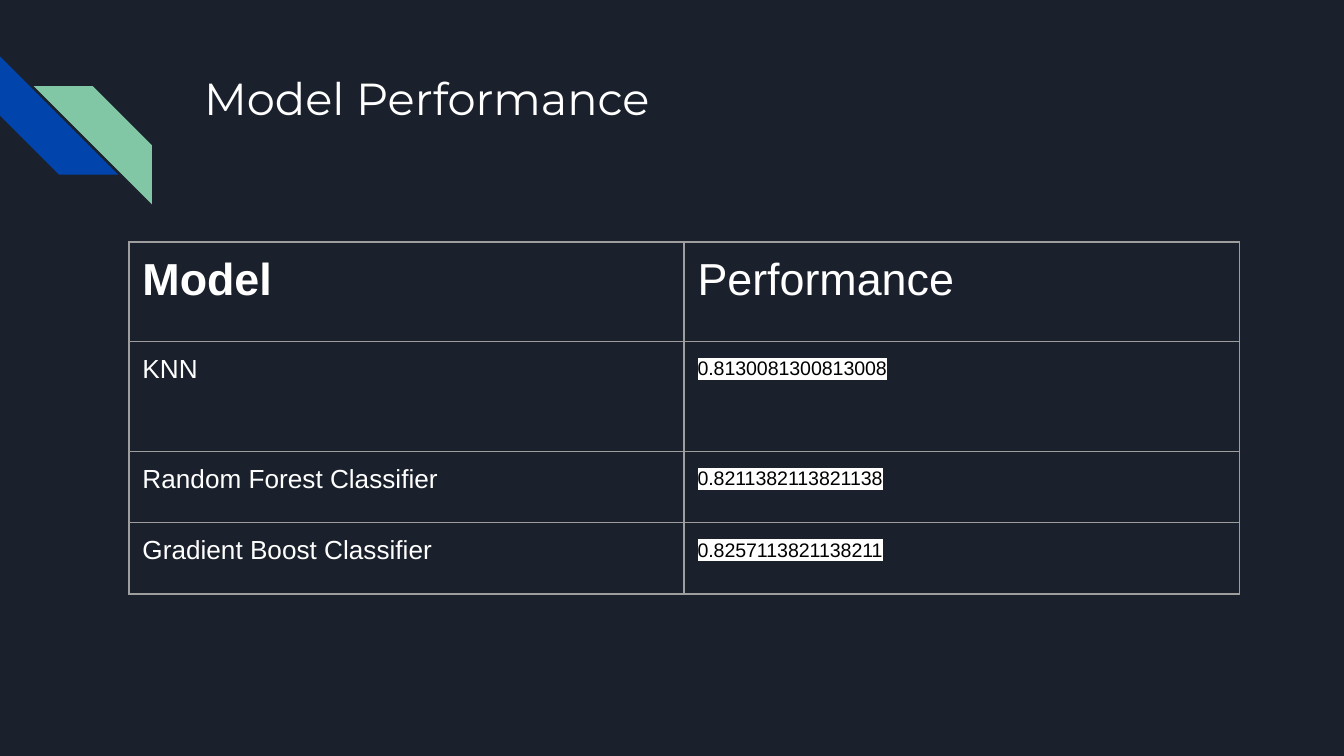
from lxml.etree import SubElement
from pptx import Presentation
from pptx.dml.color import RGBColor
from pptx.enum.shapes import MSO_SHAPE
from pptx.oxml.ns import qn
from pptx.util import Inches, Pt


def paint(fill, color):
    fill.solid()
    fill.fore_color.rgb = RGBColor.from_string(color)


def style(para, name, size, color, bold=False):
    font = para.font
    font.name, font.size, font.bold = name, Pt(size), bold
    paint(font.fill, color)


# Widescreen 16:9 slide
prs = Presentation()
prs.slide_width = Inches(10)
prs.slide_height = prs.slide_width * 9 // 16
slide = prs.slides.add_slide(prs.slide_layouts[6])
paint(slide.background.fill, "1B212C")

# Corner stripes
side = Inches(0.88)
stripes = []
for left, top, color in [(0, 0.42, "0145AC"), (0.25, 0.64, "82C7A5")]:
    stripe = slide.shapes.add_shape(
        MSO_SHAPE.DIAGONAL_STRIPE, Inches(left), Inches(top), side, side)
    stripe.shadow.inherit = False
    stripe.line.fill.background()
    paint(stripe.fill, color)
    stripes.append(stripe)
blue, green = stripes
blue.rotation = 270
green._element.spPr.xfrm.set("flipH", "1")

# Title
title = slide.shapes.add_textbox(Inches(1.42), Inches(0.43), Inches(7.7), Inches(1))
frame = title.text_frame
frame.word_wrap = True
frame.margin_left = frame.margin_right = Inches(0.1)
frame.margin_top = frame.margin_bottom = Inches(0.1)
frame.text = "Model Performance"
style(frame.paragraphs[0], "Montserrat", 24, "FFFFFF")

# Table grid
rows = [
    ("Model", "Performance"),
    ("KNN", "0.8130081300813008"),
    ("Random Forest Classifier", "0.8211382113821138"),
    ("Gradient Boost Classifier", "0.8257113821138211"),
]
heights = [0.74, 0.82, 0.53, 0.53]
table = slide.shapes.add_table(
    len(rows), 2, Inches(0.96), Inches(1.8), Inches(8.26), Inches(sum(heights))).table
table.first_row = table.horz_banding = False
for col in table.columns:
    col.width = Inches(4.13)
for row, height in zip(table.rows, heights):
    row.height = Inches(height)

# Table cells
for r, row in enumerate(rows):
    for c, text in enumerate(row):
        cell = table.cell(r, c)
        cell.text = text
        cell.margin_left = cell.margin_right = Inches(0.1)
        cell.margin_top = cell.margin_bottom = Inches(0.1)
        para = cell.text_frame.paragraphs[0]
        if r == 0:
            style(para, "Arial", 24, "FFFFFF", bold=c == 0)
        elif c == 0:
            style(para, "Arial", 14, "FFFFFF")
        else:
            style(para, "Arial", 10.5, "000000")
            para.line_spacing = 1.15
            props = para.runs[0]._r.get_or_add_rPr()
            mark = SubElement(props, qn("a:highlight"))
            SubElement(mark, qn("a:srgbClr"), val="FFFFFF")

        # Borders come before the fill in the cell properties
        props = cell._tc.get_or_add_tcPr()
        for edge in ("lnL", "lnR", "lnT", "lnB"):
            line = SubElement(props, qn(f"a:{edge}"), w=str(Pt(0.75)))
            solid = SubElement(line, qn("a:solidFill"))
            SubElement(solid, qn("a:srgbClr"), val="9E9E9E")
        cell.fill.background()

prs.save("out.pptx")
